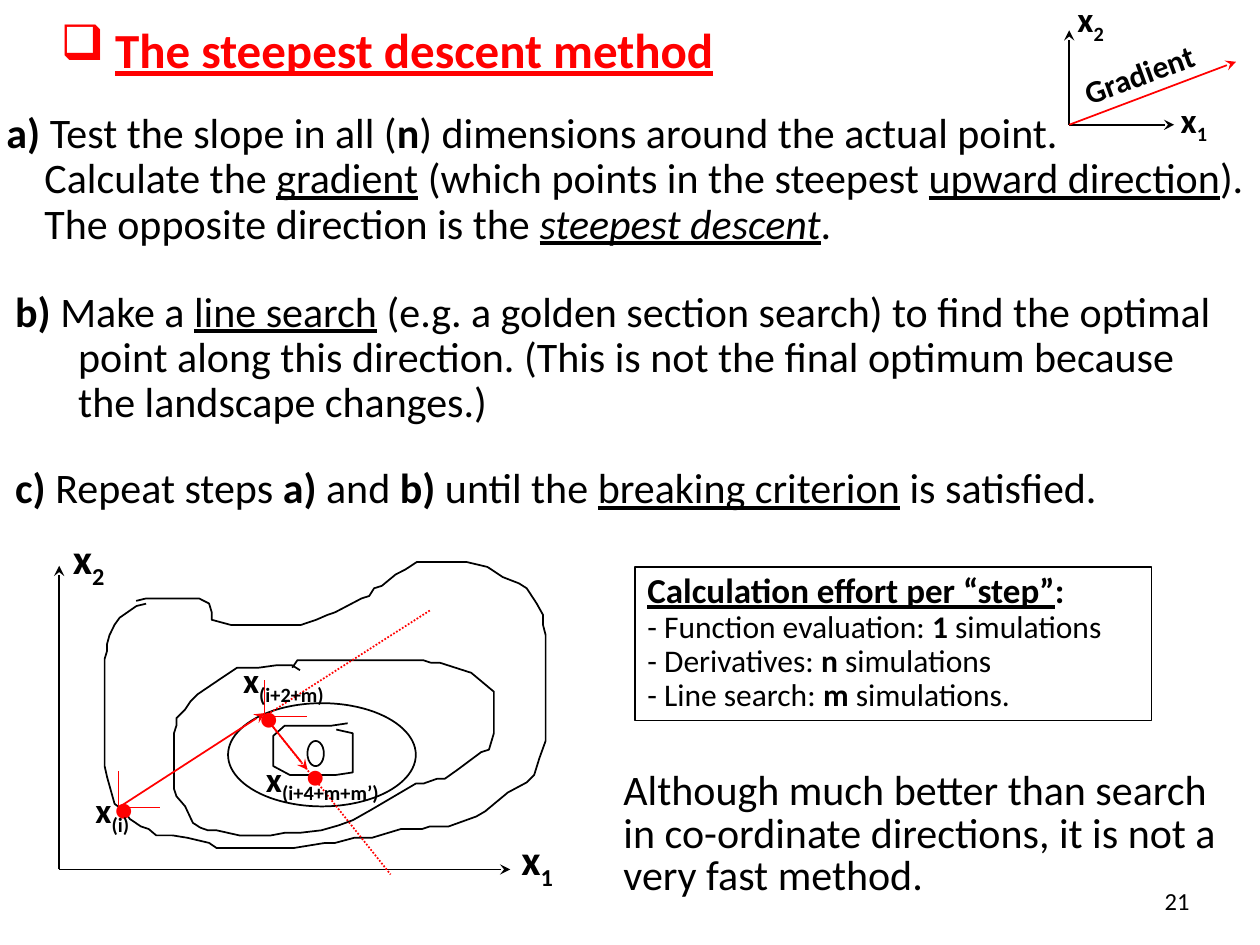
from lxml.etree import SubElement
from pptx import Presentation
from pptx.dml.color import RGBColor
from pptx.enum.dml import MSO_LINE
from pptx.enum.shapes import MSO_CONNECTOR, MSO_SHAPE as SHAPE
from pptx.enum.text import MSO_ANCHOR as ANCHOR, PP_ALIGN as ALIGN
from pptx.oxml.ns import qn
from pptx.util import Pt

BLACK = RGBColor(0, 0, 0)
RED = RGBColor(255, 0, 0)
FONT = "Calibri"

# Insets in points: left/right, top/bottom
WIDE, STEP, TIGHT, ZERO = (7.2, 3.6), (1.5, 3.6), (1.5, 0.7), (0, 0)

# Contour lines of the landscape, from the outside in
OUTER = [
    (83.5, 345), (78, 346.3), (72.7, 350), (68.4, 353), (65.5, 357), (62.6, 363),
    (61.2, 368), (61.2, 372), (59.8, 376.6), (59.8, 437.8), (61.2, 444),
    (65.5, 459.4), (71.3, 463.7), (74.2, 468), (80.6, 472.3), (85, 473.8),
    (89.3, 477.4), (98.6, 477.4), (107.3, 478.8), (119.5, 481.7), (123.8, 484.6),
    (167.8, 484.6), (185.8, 481.7), (191.5, 481.7), (202.3, 478.8), (212.4, 478.8),
    (229, 473.8), (241.2, 473.8), (245.5, 472.3), (256.3, 472.3), (272.2, 466.6),
    (277.2, 463.7), (290.2, 452.9), (301, 447.1), (305.3, 442.8), (308.2, 433.4),
    (311.8, 423.4), (311.8, 362.9), (310.3, 357.1), (310.3, 351.4), (306.7, 344.9),
    (301, 336.2), (296.6, 333.4), (287.3, 329.8), (278.6, 324), (266.4, 321.1),
    (238.3, 321.1), (231.8, 325.4), (226.1, 328.3), (218.2, 334.8), (213.8, 336.2),
    (211, 340.6), (206.6, 342), (191.5, 349.9), (187.2, 351.4), (180.7, 354.2),
    (172.1, 357.1), (131.8, 357.1), (121, 354.2), (121, 349.9), (119.5, 344.9),
    (113.8, 342), (83.5, 342), (77.8, 343.4)]
MIDDLE = [
    (171.4, 383), (167, 380.2), (157.7, 380.2), (147.6, 381.6), (135.4, 381.6),
    (126.7, 387.4), (113, 396.7), (108.7, 401), (105.8, 405.4), (100.8, 410.4),
    (100.8, 414.7), (99.4, 419), (99.4, 450.7), (100.8, 455), (105.8, 460.8),
    (110.2, 470.2), (114.5, 473), (118.8, 474.5), (123.8, 474.5), (136.8, 477.4),
    (154.8, 477.4), (162.7, 475.9), (171.4, 475.9), (183.6, 474.5), (193.7, 471.6),
    (201.6, 468.7), (211.7, 463), (237.6, 447.8), (241.9, 447.8), (249.8, 445),
    (254.2, 445), (261.4, 439.9), (275, 429.8), (279.4, 428.4), (282.2, 419),
    (282.2, 395.3), (269.3, 384.5), (251.3, 378.7), (246.2, 378.7), (241.9, 377.3),
    (169.9, 377.3), (167, 381.6)]
INNER = [
    (198.7, 413.3), (189.4, 414.7), (162.7, 414.7), (156.2, 420.5), (156.2, 437.8),
    (165.6, 442.8), (192.2, 442.8), (201.6, 441.4), (201.6, 419), (192.2, 416.9)]


def set_all(obj, values):
    for name, value in values.items():
        setattr(obj, name, value)


def add_runs(p, runs, size, color=BLACK):
    """Runs are (text, flags): b bold, i italic, u underline, _ subscript."""
    for text, flags in runs:
        r = p.add_run()
        r.text = text
        set_all(r.font, {"name": FONT, "size": Pt(size), "bold": "b" in flags,
                         "italic": "i" in flags, "underline": "u" in flags})
        r.font.color.rgb = color
        if "_" in flags:
            r._r.get_or_add_rPr().set("baseline", "-25000")


def set_frame(tf, inset=WIDE, wrap=True, anchor=ANCHOR.TOP):
    dx, dy = map(Pt, inset)
    set_all(tf, {"margin_left": dx, "margin_right": dx, "margin_top": dy,
                 "margin_bottom": dy, "word_wrap": wrap, "vertical_anchor": anchor})


def add_text(slide, box, paras, size, inset=WIDE, spacing=None, hang=0, color=BLACK):
    sp = slide.shapes.add_textbox(*map(Pt, box))
    fill_text(sp.text_frame, paras, size, inset, spacing, hang, color)
    return sp


def fill_text(tf, paras, size, inset=WIDE, spacing=None, hang=0, color=BLACK):
    set_frame(tf, inset)
    for n, runs in enumerate(paras):
        p = tf.add_paragraph() if n else tf.paragraphs[0]
        p.alignment, p.line_spacing = ALIGN.LEFT, spacing
        if hang:
            p_pr = p._p.get_or_add_pPr()
            p_pr.set("marL", str(Pt(hang)))
            p_pr.set("indent", str(0 if n else -Pt(hang)))
        add_runs(p, runs, size, color)


def add_label(slide, box, sub, size=20, inset=WIDE):
    add_text(slide, box, [[("x", "b"), (sub, "b_")]], size, inset)


def add_line(slide, start, end, color=BLACK, width=1, arrow=False, dash=None):
    cn = slide.shapes.add_connector(MSO_CONNECTOR.STRAIGHT, *map(Pt, start + end))
    cn.line.color.rgb, cn.line.width = color, Pt(width)
    if dash:
        cn.line.dash_style = dash
    if arrow:
        SubElement(cn.line._get_or_add_ln(), qn("a:tailEnd"), type="stealth")
    SubElement(cn._element.spPr, qn("a:effectLst"))


def set_outline(sp, width=1):
    sp.shadow.inherit = False
    sp.fill.background()
    sp.line.color.rgb, sp.line.width = BLACK, Pt(width)


def add_outlined(slide, kind, box, width=1):
    sp = slide.shapes.add_shape(kind, *map(Pt, box))
    set_outline(sp, width)
    return sp


def add_contour(slide, points):
    pts = [(Pt(x), Pt(y)) for x, y in points]
    builder = slide.shapes.build_freeform(*pts[0])
    builder.add_line_segments(pts[1:], close=False)
    set_outline(builder.convert_to_shape())


def add_title(slide):
    sp = slide.shapes.title
    set_all(sp, dict(zip(("left", "top", "width", "height"), map(Pt, (27.4, 10.8, 495.4, 34.6)))))
    set_frame(sp.text_frame, anchor=ANCHOR.MIDDLE)
    p = sp.text_frame.paragraphs[0]
    p.alignment = ALIGN.LEFT
    SubElement(p._p.get_or_add_pPr(), qn("a:buChar"), char="❑")
    add_runs(p, [(" ", "b"), ("The steepest descent method", "bu")], 28, RED)


def add_steps(slide):
    add_text(slide, (2.2, 60.5, 712.8, 85.7), [
        [("a)", "b"), (" Test the slope in all (", ""), ("n", "b"),
         (") dimensions around the actual point.", "")],
        [("Calculate the ", ""), ("gradient", "u"), (" (which points in the steepest ", ""),
         ("upward direction", "u"), (").", "")],
        [("The opposite direction is the ", ""), ("steepest descent", "iu"), (".", "")],
    ], 24, STEP, 0.9, hang=21.7)
    add_text(slide, (7.2, 162.7, 694.8, 85.7), [
        [("b)", "b"), (" Make a ", ""), ("line search", "u"),
         (" (e.g. a golden section search) to find the optimal point along this direction. "
          "(This is not the final optimum because the landscape changes.)", "")]],
        24, STEP, 0.9, hang=36)
    add_text(slide, (7.2, 263.5, 648, 33.1), [
        [("c)", "b"), (" Repeat steps ", ""), ("a)", "b"), (" and ", ""), ("b)", "b"),
         (" until the ", ""), ("breaking criterion", "u"), (" is satisfied.", "")]],
        24, STEP, 0.9, hang=36)


def add_gradient_sketch(slide):
    origin = (611, 71.3)
    add_label(slide, (614.2, -2.2, 36.7, 25.9), "2", inset=TIGHT)
    add_line(slide, origin, (611, 17.3), arrow=True)
    add_line(slide, origin, (671, 71.3), arrow=True)
    add_label(slide, (673.2, 55.4, 25.2, 25.9), "1", inset=TIGHT)
    add_line(slide, origin, (706.3, 35.3), RED, arrow=True)
    sp = add_text(slide, (615.6, 24.5, 104.4, 23), [[("Gradient", "b")]], 18, TIGHT)
    sp.rotation = 340


def add_landscape(slide):
    # Axes and contours
    origin = (33.8, 496.8)
    add_line(slide, origin, (33.8, 323.3), arrow=True)
    add_line(slide, origin, (291.6, 496.8), arrow=True)
    add_label(slide, (34.6, 301, 59.8, 36.7), "2", 24)
    add_label(slide, (290.9, 473, 59.8, 36.7), "1", 24)
    for points in (OUTER, MIDDLE, INNER):
        add_contour(slide, points)
    for box in ((130.3, 401.8, 107.3, 59), (175.7, 423.4, 9.4, 14.4)):
        add_outlined(slide, SHAPE.OVAL, box)

    # Search directions and steps taken
    first, second = (67.7, 461.5), (151.2, 409.3)
    for end in ((223.2, 499.7), (246.2, 348.5)):
        add_line(slide, second, end, RED, dash=MSO_LINE.ROUND_DOT)
    add_line(slide, first, (151.2, 407.5), RED, arrow=True)
    add_line(slide, second, (175.7, 439.9), RED, arrow=True)

    # Test steps along both axes at each point
    for x, y in (first, second):
        add_line(slide, (x, y), (x + 24, y), RED, 0.75)
        add_line(slide, (x, y), (x, y - 21), RED, 0.75)

    # Points and their names
    for left, top in ((64.8, 446.4), (147.6, 394.6), (174.2, 427.7)):
        add_text(slide, (left, top, 18.7, 28.8), [[("•", "")]], 24, ZERO, color=RED)
    add_label(slide, (47.5, 447.1, 40.3, 31.7), "(i)")
    add_label(slide, (131.8, 373, 77, 31.7), "(i+2+m)")
    add_label(slide, (150.5, 432, 130.3, 25.9), "(i+4+m+m’)", inset=TIGHT)


def add_effort_box(slide):
    sp = add_outlined(slide, SHAPE.RECTANGLE, (362.9, 324, 295.2, 87.8), 0.75)
    tf = sp.text_frame
    fill_text(tf, [[("Calculation effort per “step”", "bu"), (":", "b")]], 20, spacing=0.9)
    for name, count in (("Function evaluation", "1"), ("Derivatives", "n"), ("Line search", "m")):
        p = tf.add_paragraph()
        p.alignment, p.line_spacing = ALIGN.LEFT, 0.9
        end = " simulations." if count == "m" else " simulations"
        add_runs(p, [(f"- {name}: ", ""), (count, "b"), (end, "")], 18)


def main():
    prs = Presentation()
    prs.slide_width, prs.slide_height = Pt(720), Pt(540)
    slide = prs.slides.add_slide(prs.slide_layouts[5])
    add_title(slide)
    add_steps(slide)
    add_gradient_sketch(slide)
    add_landscape(slide)
    add_effort_box(slide)

    # Conclusion and page number
    add_text(slide, (349.2, 437, 352.8, 81.4), [
        [("Although much better than search in co-ordinate directions, "
          "it is not a very fast method.", "")]], 24, spacing=0.85)
    sp = add_text(slide, (655.2, 501.1, 31.7, 27.4), [[("21", "")]], 14)
    set_frame(sp.text_frame, wrap=False, anchor=ANCHOR.MIDDLE)
    sp.text_frame.paragraphs[0].alignment = ALIGN.RIGHT
    prs.save("out.pptx")


if __name__ == "__main__":
    main()
